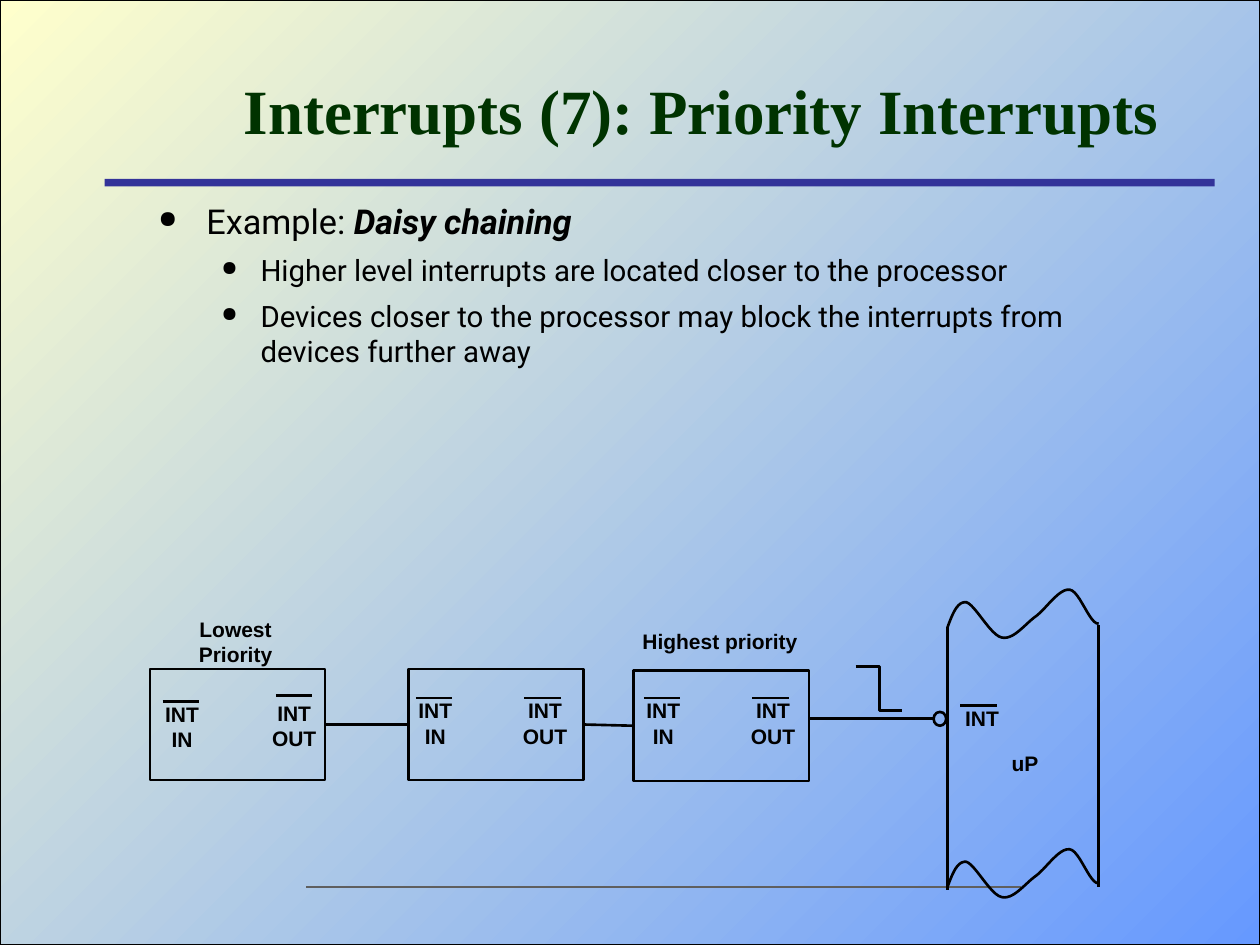
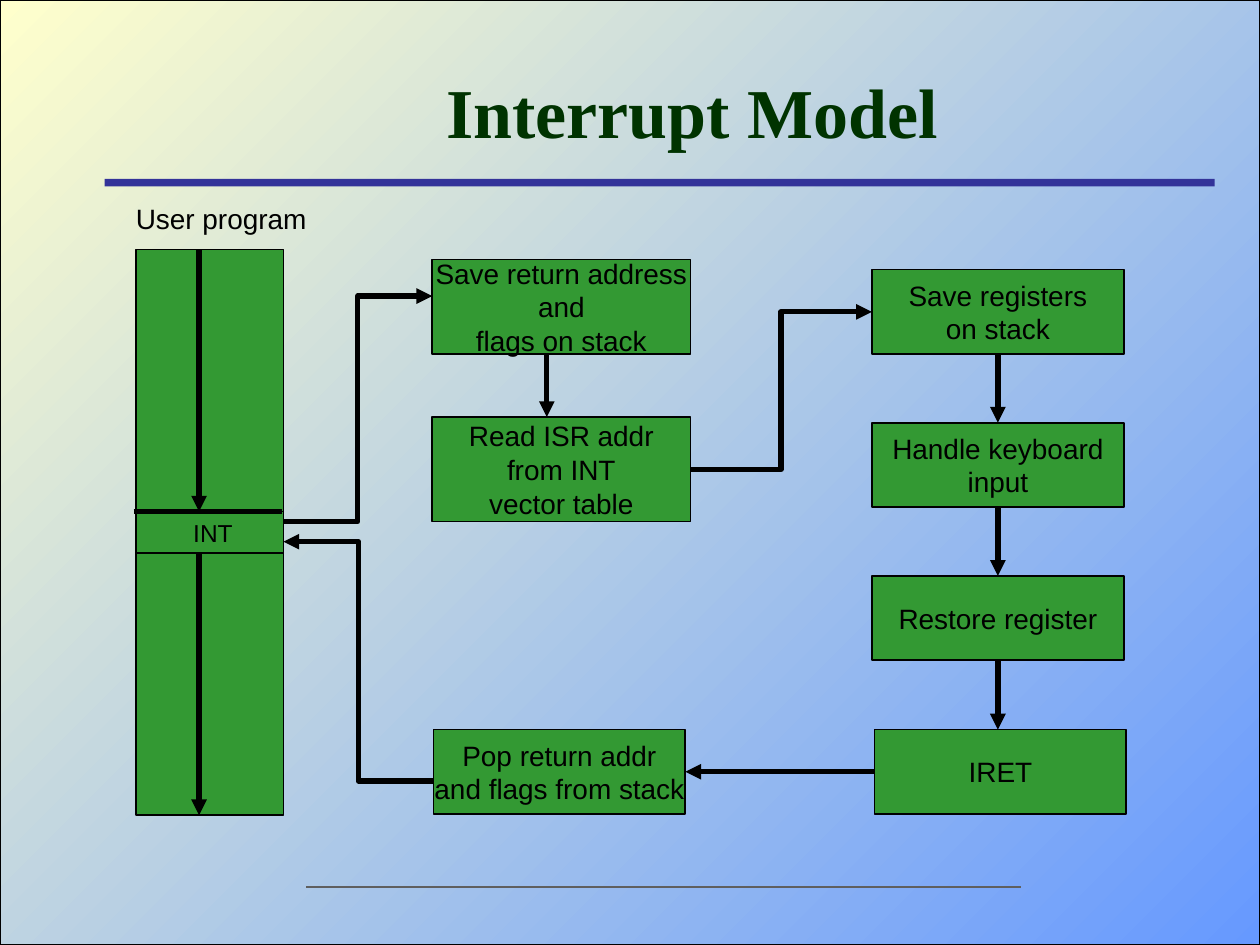
from dataclasses import dataclass

from lxml.etree import SubElement
from pptx import Presentation
from pptx.dml.color import RGBColor
from pptx.enum.shapes import MSO_CONNECTOR, MSO_SHAPE
from pptx.enum.text import MSO_ANCHOR, PP_ALIGN
from pptx.oxml.ns import qn
from pptx.util import Inches, Pt


@dataclass(frozen=True)
class Theme:
    """Colours, fonts, type sizes and line widths of the deck."""
    ink: str = "000000"
    title: str = "003300"
    band: str = "333399"
    footer: str = "5F5F5F"
    step: str = "339933"
    gradient: tuple = ("6699FF", "FFFFCC")
    title_font: str = "Times New Roman"
    body_font: str = "Roboto"
    label_font: str = "Arial"
    body_sizes: tuple = (19.6, 16.8)
    signal_size: int = 12
    small_size: int = 14
    step_size: int = 16
    frame_line: float = 0.75
    step_line: float = 1
    thin_line: float = 1.5
    arrow_line: float = 3


THEME = Theme()


@dataclass(frozen=True)
class Box:
    """A rectangle in inches."""
    left: float
    top: float
    width: float
    height: float

    def inside(self, left, top, width, height):
        """Return a box placed relative to this one."""
        return Box(self.left + left, self.top + top, width, height)

    def point(self, across, down):
        """Return a point offset from the top left corner."""
        return self.left + across, self.top + down

    def lengths(self):
        """Return the four lengths for python-pptx."""
        return [Inches(value) for value in (self.left, self.top, self.width, self.height)]


def color(value):
    """Turn a hex string into a colour."""
    return RGBColor.from_string(value)


def style_font(font, name, size, ink=THEME.ink, bold=False):
    """Set the face, size, colour and weight of a font."""
    font.name, font.size, font.bold = name, Pt(size), bold
    font.color.rgb = color(ink)


def style_shape(shape, fill=None, width=None):
    """Give a shape its fill and outline, or neither."""
    shape.shadow.inherit = False
    if fill:
        shape.fill.solid()
        shape.fill.fore_color.rgb = color(fill)
    else:
        shape.fill.background()
    if width:
        shape.line.color.rgb = color(THEME.ink)
        shape.line.width = Pt(width)
    else:
        shape.line.fill.background()


def add_block(slide, box, fill=None, width=None, kind=MSO_SHAPE.RECTANGLE):
    """Add a preset shape."""
    shape = slide.shapes.add_shape(kind, *box.lengths())
    style_shape(shape, fill, width)
    return shape


def write_lines(shape, lines, font, size, ink=THEME.ink, bold=False,
                align=PP_ALIGN.CENTER, anchor=MSO_ANCHOR.MIDDLE, wrap=False):
    """Write one paragraph per line and return the text frame."""
    frame = shape.text_frame
    frame.word_wrap, frame.vertical_anchor = wrap, anchor
    frame.text = "\n".join(lines)
    for paragraph in frame.paragraphs:
        paragraph.alignment = align
        style_font(paragraph.font, font, size, ink, bold)
    return frame


def add_line(slide, start, end, width=THEME.thin_line, ink=THEME.ink,
             arrow=False, kind=MSO_CONNECTOR.STRAIGHT):
    """Add a connector between two points."""
    connector = slide.shapes.add_connector(kind, *map(Inches, (*start, *end)))
    connector.line.color.rgb = color(ink)
    connector.line.width = Pt(width)
    properties = connector.element.spPr
    if arrow:
        SubElement(properties.find(qn("a:ln")), qn("a:tailEnd"), type="triangle")
    SubElement(properties, qn("a:effectLst"))
    return connector


def add_arrow(slide, start, end, kind=MSO_CONNECTOR.STRAIGHT):
    """Add a heavy flow arrow."""
    return add_line(slide, start, end, THEME.arrow_line, arrow=True, kind=kind)


def join(connector, first=None, last=None):
    """Attach connector ends to (shape, site) pairs."""
    if first:
        connector.begin_connect(*first)
    if last:
        connector.end_connect(*last)


def add_polyline(slide, points):
    """Draw an open outline through points."""
    start, *rest = [tuple(map(Inches, point)) for point in points]
    builder = slide.shapes.build_freeform(*start)
    builder.add_line_segments(rest, close=False)
    style_shape(builder.convert_to_shape(), width=THEME.thin_line)


def curve_points(controls, steps=12):
    """Sample a chain of cubic curves."""
    points = [controls[0]]
    for index in range(0, len(controls) - 1, 3):
        segment = controls[index:index + 4]
        for step in range(1, steps + 1):
            t = step / steps
            weights = ((1 - t) ** 3, 3 * t * (1 - t) ** 2, 3 * t * t * (1 - t), t ** 3)
            points.append(tuple(sum(weight * point[axis] for weight, point in zip(weights, segment))
                                for axis in (0, 1)))
    return points


def start_slide(presentation, title, box, size, right_margin=0.1):
    """Add a slide with the shared backdrop, band, footer rule and title."""
    slide = presentation.slides.add_slide(presentation.slide_layouts[6])
    backdrop = add_block(slide, Box(0, 0, 10, 7.5), width=THEME.frame_line)
    backdrop.fill.gradient()
    backdrop.fill.gradient_angle = 135
    for stop, value in zip(backdrop.fill.gradient_stops, THEME.gradient):
        stop.color.rgb = color(value)
    add_block(slide, Box(0.83, 1.42, 8.81, 0.06), THEME.band)
    add_line(slide, (2.43, 7.04), (8.1, 7.04), ink=THEME.footer)
    title_box = slide.shapes.add_textbox(*box.lengths())
    frame = write_lines(title_box, [title], THEME.title_font, size, THEME.title, True, wrap=True)
    frame.margin_right = Inches(right_margin)
    return slide


def add_bullets(slide, box, items):
    """Write (level, runs) bullets, each run being text and emphasis."""
    frame = slide.shapes.add_textbox(*box.lengths()).text_frame
    frame.word_wrap = True
    for index, (level, runs) in enumerate(items):
        paragraph = frame.add_paragraph() if index else frame.paragraphs[0]
        paragraph.level = level
        margin, indent = ((0.38, -0.38), (0.81, -0.31))[level]
        properties = paragraph._p.get_or_add_pPr()
        properties.set("marL", str(Inches(margin)))
        properties.set("indent", str(Inches(indent)))
        bullet_color = SubElement(properties, qn("a:buClr"))
        SubElement(bullet_color, qn("a:srgbClr"), val=THEME.ink)
        SubElement(properties, qn("a:buSzPct"), val="70000")
        SubElement(properties, qn("a:buChar"), char="●")
        paragraph.space_before = Pt(6 if index else 0)
        style_font(paragraph.font, THEME.body_font, THEME.body_sizes[level])
        for text, emphasis in runs:
            run = paragraph.add_run()
            run.text = text
            if emphasis:
                run.font.bold = run.font.italic = True


def add_signal(slide, box, lines, bar=None):
    """Write a bold label, with an overline at an offset if given."""
    write_lines(slide.shapes.add_textbox(*box.lengths()), lines,
                THEME.label_font, THEME.signal_size, bold=True)
    if bar:
        left, top = box.point(*bar)
        add_line(slide, (left, top), (left + 0.29, top))


def add_device(slide, box, in_offset, out_offset, out_bar=(0.11, 0.05)):
    """Draw a device with its interrupt input and output."""
    device = add_block(slide, box, width=THEME.thin_line)
    add_signal(slide, box.inside(*in_offset, 0.47, 0.5), ["INT", "IN"], (0.08, 0.05))
    add_signal(slide, box.inside(*out_offset, 0.55, 0.5), ["INT", "OUT"], out_bar)
    return device


def add_processor(slide, box):
    """Draw the torn processor strip with its active-low input."""
    wave = curve_points([
        (0, 0.31), (0.04, 0.2), (0.08, 0.1), (0.15, 0.11), (0.22, 0.13), (0.34, 0.37),
        (0.43, 0.39), (0.52, 0.41), (0.6, 0.3), (0.69, 0.23), (0.78, 0.17), (0.88, 0),
        (0.97, 0.01), (1.05, 0.02), (1.13, 0.29), (1.2, 0.28)])
    drop = 2.06
    for across, down in ((0, 0.31), (box.width, 0.29)):
        add_line(slide, box.point(across, down), box.point(across, down + drop + 0.02))
    for shift in (0, drop):
        add_polyline(slide, [box.point(across, down + shift) for across, down in wave])
    add_block(slide, box.inside(-0.11, 0.98, 0.1, 0.11), width=THEME.thin_line, kind=MSO_SHAPE.OVAL)
    add_signal(slide, box.inside(0.04, 0.88, 0.47, 0.3), ["INT"], (0.06, 0.05))
    add_signal(slide, box.inside(0.41, 1.24, 0.41, 0.3), ["uP"])


def add_daisy_chain(slide, box):
    """Draw the chained devices and the processor."""
    low = add_device(slide, box.inside(0, 0.64, 1.39, 0.88), (0.02, 0.21), (0.87, 0.2), (0.13, 0.01))
    middle = add_device(slide, box.inside(2.05, 0.64, 1.39, 0.88), (-0.02, 0.18), (0.81, 0.18))
    high = add_device(slide, box.inside(3.84, 0.65, 1.39, 0.88), (0, 0.17), (0.83, 0.17))
    for source, target in ((low, middle), (middle, high)):
        join(add_line(slide, box.point(0, 0), box.point(1, 0)), (source, 3), (target, 1))
    add_processor(slide, box.inside(6.33, 0, 1.2, 2.47))
    add_line(slide, box.point(5.23, 1.03), box.point(6.22, 1.03))
    falling_edge = ((5.6, 0.62), (5.79, 0.62), (5.79, 0.97), (5.97, 0.97))
    add_polyline(slide, [box.point(*corner) for corner in falling_edge])
    add_signal(slide, box.inside(-0.02, 0.27, 1.4, 0.3), ["Lowest Priority"])
    add_signal(slide, box.inside(3.81, 0.27, 1.43, 0.3), ["Highest priority"])


def add_step(slide, box, *lines):
    """Draw one step of the interrupt flow."""
    step = add_block(slide, box, THEME.step, THEME.step_line)
    write_lines(step, lines, THEME.label_font, THEME.step_size)
    return step


def add_user_program(slide, box):
    """Draw the program column split by the interrupt instruction."""
    half, gap = 2.08, 0.33
    for top in (0, half + gap):
        add_block(slide, box.inside(0, top, box.width, half), THEME.step, THEME.step_line)
        add_arrow(slide, box.point(0.5, top), box.point(0.5, top + half))
    instruction = add_block(slide, box.inside(0, half, box.width, gap), THEME.step, THEME.step_line)
    frame = write_lines(instruction, ["INT"], THEME.label_font, THEME.small_size)
    frame.margin_left = Inches(0.15)
    add_line(slide, box.point(-0.02, half), box.point(box.width - 0.01, half), THEME.arrow_line)
    caption = slide.shapes.add_textbox(*box.inside(-0.1, -0.43, 1.56, 0.37).lengths())
    write_lines(caption, ["User program"], THEME.label_font, THEME.step_size,
                align=PP_ALIGN.LEFT, anchor=MSO_ANCHOR.TOP)


def add_interrupt_flow(slide, box):
    """Draw the steps taken from the interrupt to the return."""
    add_step(slide, box.inside(2.35, 0.08, 2.05, 0.75), "Save return address", "and", "flags on stack")
    vector = add_step(slide, box.inside(2.35, 1.33, 2.05, 0.83),
                      "Read ISR addr", "from INT", "vector table")
    routine = (("Save registers", "on stack"), ("Handle keyboard", "input"), ("Restore register",))
    save, handle, restore = [add_step(slide, box.inside(5.84, 0.16 + 1.215 * row, 2, 0.67), *lines)
                             for row, lines in enumerate(routine)]
    finish = add_step(slide, box.inside(5.86, 3.81, 2, 0.67), "IRET")
    pop = add_step(slide, box.inside(2.36, 3.81, 2, 0.67), "Pop return addr", "and flags from stack")
    add_user_program(slide, box)
    add_arrow(slide, box.point(3.26, 0.83), box.point(3.26, 1.33))
    for source, target in ((save, handle), (handle, restore)):
        join(add_arrow(slide, box.point(0, 0), box.point(0, 1)), (source, 2), (target, 0))
    join(add_arrow(slide, box.point(6.84, 3.26), box.point(6.84, 3.81)), (restore, 2))
    join(add_arrow(slide, box.point(5.86, 4.15), box.point(4.36, 4.15)), (finish, 1), (pop, 3))
    elbow = MSO_CONNECTOR.ELBOW
    add_arrow(slide, box.point(2.36, 4.22), box.point(1.17, 2.32), elbow)
    add_arrow(slide, box.point(1.17, 2.16), box.point(2.35, 0.37), elbow)
    join(add_arrow(slide, box.point(4.4, 1.75), box.point(5.84, 0.5), elbow), (vector, 3), (save, 1))


def main():
    """Build and save both slides."""
    presentation = Presentation()
    presentation.slide_width, presentation.slide_height = Inches(10), Inches(7.5)
    chaining = start_slide(presentation, "Interrupts (7): Priority Interrupts",
                           Box(1.46, 0.33, 8.21, 1.08), 36)
    add_bullets(chaining, Box(1.16, 1.54, 8.1, 1.58), [
        (0, [("Example: ", False), ("Daisy chaining", True)]),
        (1, [("Higher level interrupts are located closer to the processor", False)]),
        (1, [("Devices closer to the processor may block the interrupts from "
              "devices further away", False)])])
    add_daisy_chain(chaining, Box(1.19, 4.67, 7.53, 2.47))
    model = start_slide(presentation, "Interrupt Model", Box(1.46, 0.44, 8.21, 0.88), 40, 0.24)
    add_interrupt_flow(model, Box(1.08, 1.98, 1.17, 4.49))
    presentation.save("out.pptx")


if __name__ == "__main__":
    main()
